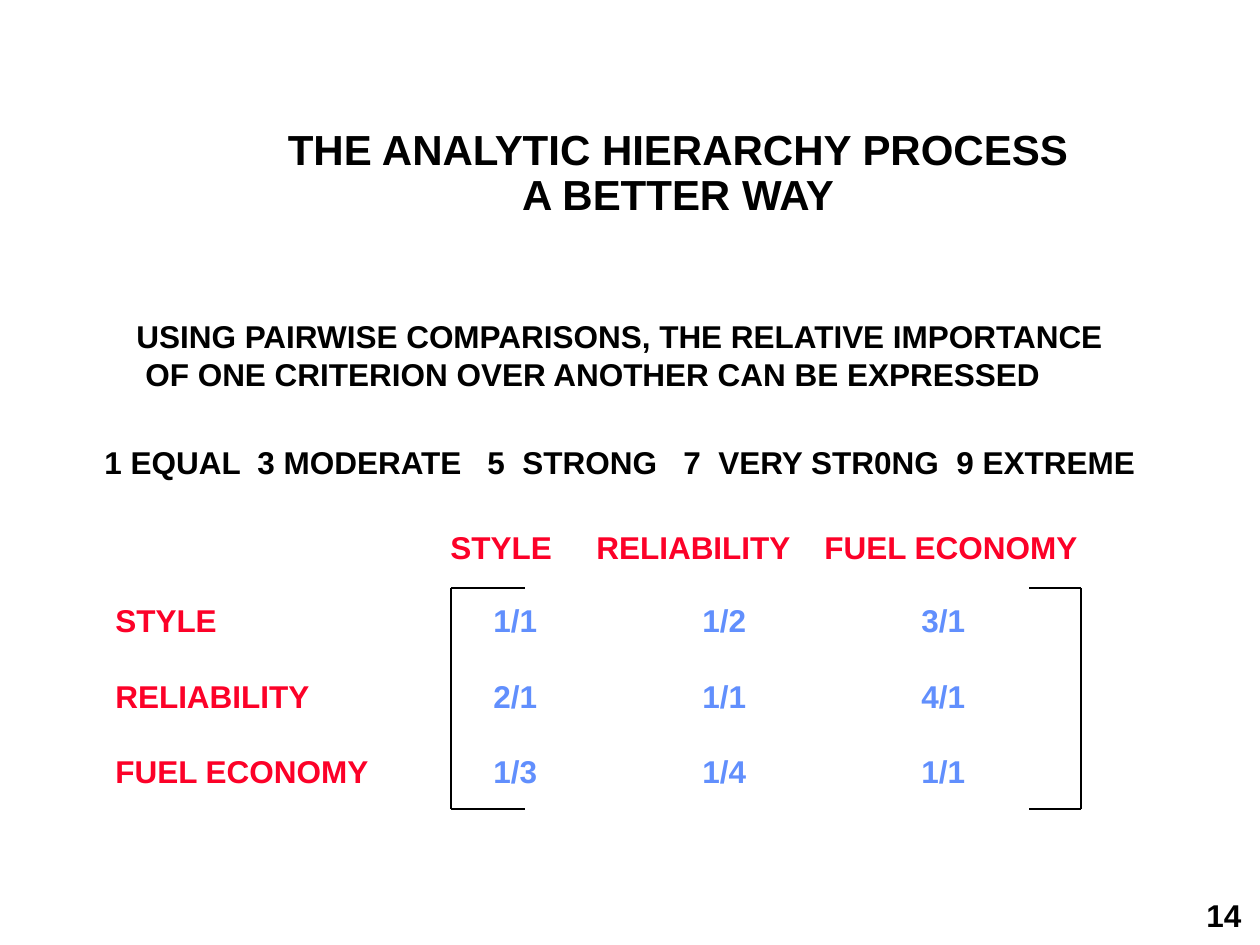
from dataclasses import dataclass

from lxml import etree
from pptx import Presentation, util as u
from pptx.dml.color import RGBColor
from pptx.enum import shapes, text
from pptx.oxml.ns import qn

PX = u.Inches(1) / 126
BLACK = RGBColor(0x00, 0x00, 0x00)
RED = RGBColor(0xFC, 0x01, 0x28)
BLUE = RGBColor(0x61, 0x8F, 0xFD)
LEADING = 1.2


@dataclass
class Block:
    """Lines of bold text; tabs are px from the left edge of the text."""
    x: int
    y: int
    w: int
    h: int
    lines: list[str]
    color: RGBColor = BLACK
    tabs: tuple[int, ...] = ()
    gap: float = 0
    last_indent: int = 0


@dataclass
class Bracket:
    spine: int
    tip: int
    top: int
    bottom: int


CRITERIA = ["STYLE", "RELIABILITY", "FUEL ECONOMY"]
RATIOS = [("1/1", "1/2", "3/1"), ("2/1", "1/1", "4/1"), ("1/3", "1/4", "1/1")]
SCALE = ["1 EQUAL", "3 MODERATE", "5", "STRONG", "7", "VERY STR0NG", "9 EXTREME"]
ROW_GAP = 21.6

BLOCKS = [
    Block(1194, 890, 64, 50, ["14"]),
    Block(103, 595, 290, 202, CRITERIA, RED, gap=ROW_GAP),
    Block(438, 522, 670, 50, ["\t".join(CRITERIA)], RED, tabs=(146, 374)),
    Block(481, 595, 510, 202, ["\t".join(row) for row in RATIOS], BLUE,
          tabs=(209, 428), gap=ROW_GAP),
    Block(124, 311, 1052, 88,
          ["USING PAIRWISE COMPARISONS, THE RELATIVE IMPORTANCE",
           "OF ONE CRITERION OVER ANOTHER CAN BE EXPRESSED"], last_indent=9),
    Block(92, 437, 1080, 50, ["\t".join(SCALE)],
          tabs=(153, 383, 418, 579, 614, 852)),
]
BRACKETS = [Bracket(451, 525, 588, 809), Bracket(1081, 1029, 588, 809)]


def px(n: int) -> int:
    return round(n * PX)


def style(p, size: int, color: RGBColor) -> None:
    p.line_spacing = u.Pt(size * LEADING)
    p.font.name = "Arial"
    p.font.size = u.Pt(size)
    p.font.bold = True
    p.font.color.rgb = color


def add_tabs(p, stops: tuple[int, ...]) -> None:
    tab_list = etree.SubElement(p._p.get_or_add_pPr(), qn("a:tabLst"))
    for stop in stops:
        etree.SubElement(tab_list, qn("a:tab"), pos=str(px(stop)), algn="l")


def add_block(s, b: Block) -> None:
    tf = s.shapes.add_textbox(px(b.x), px(b.y), px(b.w), px(b.h)).text_frame
    tf.word_wrap = True
    for i, line in enumerate(b.lines):
        p = tf.paragraphs[0] if i == 0 else tf.add_paragraph()
        p.text = line
        if b.tabs:
            add_tabs(p, b.tabs)
        if i and b.gap:
            p.space_before = u.Pt(b.gap)
        if i == len(b.lines) - 1 and b.last_indent:
            p._p.get_or_add_pPr().set("marL", str(px(b.last_indent)))
        style(p, 18, b.color)


def add_line(s, x1: int, y1: int, x2: int, y2: int) -> None:
    line = s.shapes.add_connector(shapes.MSO_CONNECTOR.STRAIGHT,
                                  px(x1), px(y1), px(x2), px(y2))
    line.line.color.rgb = BLACK
    line.line.width = u.Pt(1)
    etree.SubElement(line._element.spPr, qn("a:effectLst"))


def add_bracket(s, b: Bracket) -> None:
    add_line(s, b.spine, b.top, b.spine, b.bottom)
    for y in (b.top, b.bottom):
        add_line(s, b.spine, y, b.tip, y)


def set_title(s) -> None:
    sp = s.shapes.title
    sp.left, sp.top, sp.width, sp.height = px(242), px(116), px(872), px(116)
    tf = sp.text_frame
    tf.text = "THE ANALYTIC HIERARCHY PROCESS\vA BETTER WAY"
    tf.auto_size = text.MSO_AUTO_SIZE.NONE
    tf.vertical_anchor = text.MSO_ANCHOR.MIDDLE
    p = tf.paragraphs[0]
    p.alignment = text.PP_ALIGN.CENTER
    style(p, 24, BLACK)
    p.line_spacing = u.Pt(25.8)


def main() -> None:
    prs = Presentation()
    prs.slide_width, prs.slide_height = u.Inches(10), u.Inches(7.5)
    s = prs.slides.add_slide(prs.slide_layouts[5])
    set_title(s)
    for block in BLOCKS:
        add_block(s, block)
    for bracket in BRACKETS:
        add_bracket(s, bracket)
    prs.save("out.pptx")


if __name__ == "__main__":
    main()
